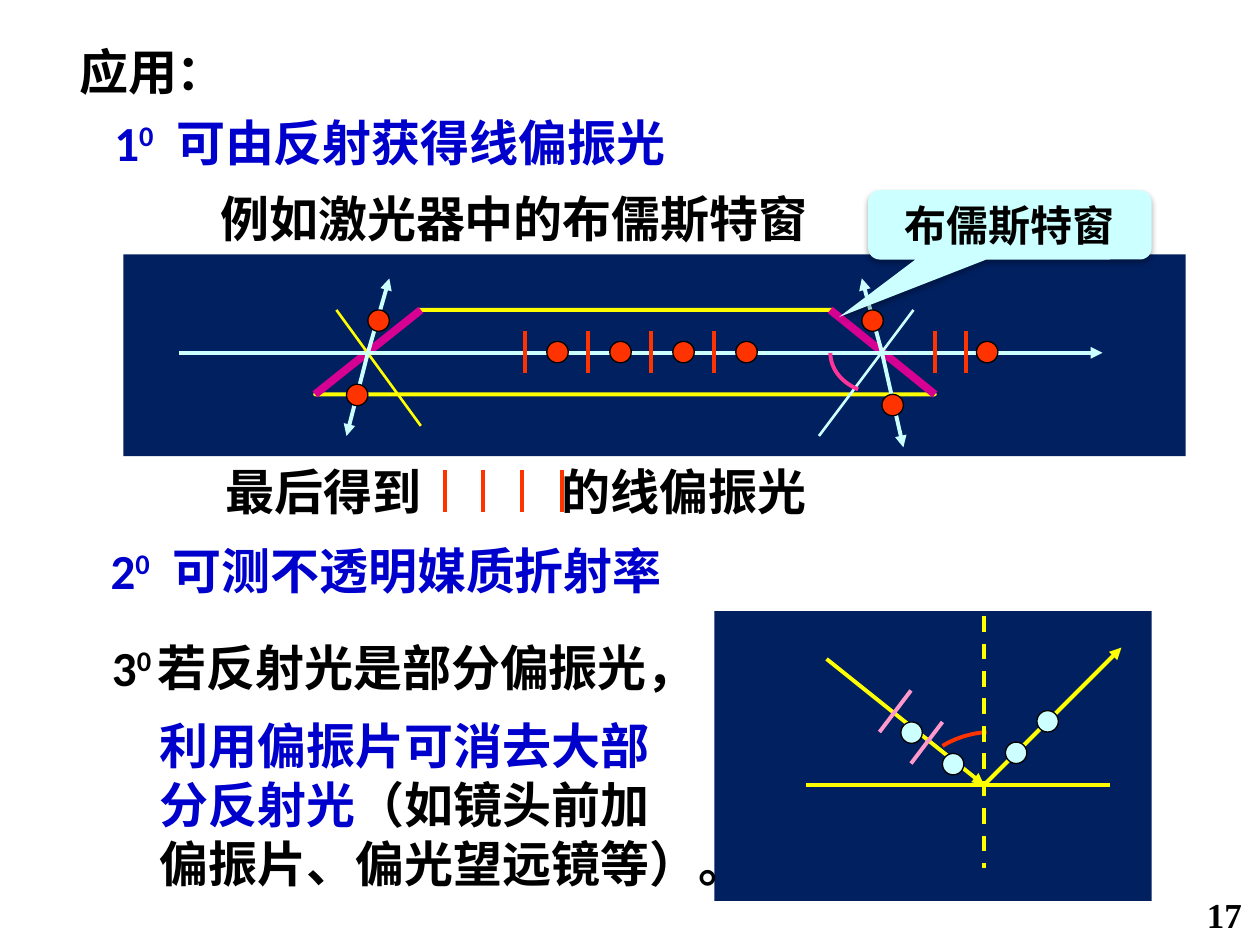
"""Build the slide on applications of Brewster-angle reflection."""
import lxml.etree
import pptx
import pptx.dml.color
import pptx.enum.dml
import pptx.enum.shapes
import pptx.enum.text
import pptx.oxml
import pptx.oxml.ns
import pptx.util

Inches = pptx.util.Inches
SHAPE = pptx.enum.shapes.MSO_SHAPE
BLACK, BLUE, NAVY = "000000", "0000CC", "002060"
YELLOW, PALE, RED, PINK, MAGENTA = "FFFF00", "CCFFFF", "FF3300", "FF99CC", "D60093"
DOT = 0.17
HEADING_TAB, GAP_TAB = 0.49, 2.67


def color(value):
    """Turn a hex string into a colour."""
    return pptx.dml.color.RGBColor.from_string(value)


def add_xml(parent, tag, **attributes):
    """Append a DrawingML element and return it."""
    element = lxml.etree.SubElement(parent, pptx.oxml.ns.qn(tag))
    for name, value in attributes.items():
        element.set(name, str(value))
    return element


def style_line(line, value, width):
    """Set the colour and width of a line."""
    line.color.rgb = color(value)
    line.width = pptx.util.Pt(width)


def add_preset(shapes, kind, box, fill, outline=None):
    """Add a filled preset shape without shadow."""
    shape = shapes.add_shape(kind, *map(Inches, box))
    shape.shadow.inherit = False
    shape.fill.solid()
    shape.fill.fore_color.rgb = color(fill)
    if outline:
        style_line(shape.line, outline, 0.75)
    else:
        shape.line.fill.background()
    return shape


def add_dots(shapes, positions, fill):
    """Add round dots at the given left and top positions."""
    for left, top in positions:
        add_preset(shapes, SHAPE.OVAL, (left, top, DOT, DOT), fill, BLACK)


def add_line(shapes, start, end, value, width=2.25, arrow=False, dashed=False):
    """Add a straight line, with an arrowhead or dashes if asked."""
    connector = shapes.add_connector(
        pptx.enum.shapes.MSO_CONNECTOR.STRAIGHT, *map(Inches, (*start, *end)))
    style_line(connector.line, value, width)
    if dashed:
        connector.line.dash_style = pptx.enum.dml.MSO_LINE.DASH
    if arrow:
        add_xml(connector.line._get_or_add_ln(), "a:tailEnd", type="triangle")
    add_xml(connector._element.spPr, "a:effectLst")


def add_ticks(shapes, positions, top):
    """Add short red vertical lines."""
    for x in positions:
        add_line(shapes, (x, top), (x, top + 0.33), RED)


def add_outline(shapes, points, value, close):
    """Add an unfilled freeform through the points."""
    corners = [(Inches(x), Inches(y)) for x, y in points]
    builder = shapes.build_freeform(*corners[0])
    builder.add_line_segments(corners[1:], close=close)
    shape = builder.convert_to_shape()
    shape.shadow.inherit = False
    shape.fill.background()
    style_line(shape.line, value, 2.25)


def add_curve(shapes, controls, value, steps=16):
    """Add a cubic curve given by its four control points."""
    points = []
    for step in range(steps + 1):
        t = step / steps
        weights = ((1 - t) ** 3, 3 * t * (1 - t) ** 2, 3 * t * t * (1 - t), t ** 3)
        points.append([sum(w * p[axis] for w, p in zip(weights, controls))
                       for axis in (0, 1)])
    add_outline(shapes, points, value, close=False)


def add_run(paragraph, text, value, size=28, name="Calibri", raised=False):
    """Add a bold run, as superscript if raised."""
    run = paragraph.add_run()
    run.text = text
    formats = {"size": pptx.util.Pt(size), "name": name, "bold": True}
    for key, setting in formats.items():
        setattr(run.font, key, setting)
    run.font.color.rgb = color(value)
    if raised:
        run._r.get_or_add_rPr().set("baseline", "30000")


def add_text(shapes, box, paragraphs, tab=None, wrap=True):
    """Add a text box from lists of runs, each a tuple of run values."""
    frame = shapes.add_textbox(*map(Inches, box)).text_frame
    frame.word_wrap = wrap
    for index, runs in enumerate(paragraphs):
        paragraph = frame.add_paragraph() if index else frame.paragraphs[0]
        if tab:
            tabs = add_xml(paragraph._p.get_or_add_pPr(), "a:tabLst")
            add_xml(tabs, "a:tab", pos=Inches(tab), algn="l")
        for run in runs:
            add_run(paragraph, *run)


def add_heading(shapes, box, number, gap, text, value):
    """Add a numbered heading with a raised zero."""
    runs = [(number, value), ("0" + gap, value, 28, "Calibri", True), (text, value)]
    add_text(shapes, box, [runs], HEADING_TAB if gap == "\t" else None)


def add_reflection(shapes):
    """Draw light reflected from a surface."""
    foot = (7.81, 6.23)
    add_line(shapes, foot, (8.9, 5.14), YELLOW, arrow=True)
    add_curve(shapes, [(7.83, 5.81), (7.7, 5.82), (7.58, 5.86), (7.48, 5.92)], RED)
    add_line(shapes, (7.81, 4.89), (7.81, 6.89), YELLOW, dashed=True)
    add_line(shapes, (6.56, 5.23), foot, YELLOW, arrow=True)
    for x, y in ((7.23, 5.48), (7.48, 5.73)):
        add_line(shapes, (x, y), (x - 0.25, y + 0.33), PINK)
    add_dots(shapes, [(7.15, 5.73), (7.48, 5.98), (8.23, 5.64), (7.98, 5.89)], PALE)
    add_line(shapes, (6.4, 6.23), (8.81, 6.23), YELLOW)


def add_laser(shapes):
    """Draw the laser tube with its two Brewster windows."""
    add_outline(shapes, [(2.5, 3.13), (3.33, 2.46), (6.6, 2.46), (7.42, 3.13)],
                YELLOW, close=True)
    add_line(shapes, (6.59, 2.46), (7.42, 3.13), MAGENTA, 4.5)
    add_line(shapes, (3.34, 2.46), (2.5, 3.13), MAGENTA, 4.5)
    add_line(shapes, (1.42, 2.8), (8.75, 2.8), PALE, arrow=True)
    add_ticks(shapes, [4.17, 4.67, 5.17, 5.67, 7.42, 7.67], 2.63)
    add_dots(shapes, [(x, 2.71) for x in (4.34, 4.84, 5.34, 5.84, 7.75)], RED)
    add_line(shapes, (7.25, 2.46), (6.5, 3.46), PALE, 1.5)
    add_line(shapes, (2.67, 2.46), (3.34, 3.38), YELLOW, 1.5)
    for x, ends in ((7, ((7.17, 3.55), (6.84, 2.21))),
                    (2.92, ((2.75, 3.46), (3.09, 2.21)))):
        for end in ends:
            add_line(shapes, (x, 2.8), end, PALE, arrow=True)
    add_dots(shapes, [(7, 3.13), (6.84, 2.46), (2.75, 3.05), (2.92, 2.46)], RED)
    add_curve(shapes, [(6.81, 3.09), (6.67, 3.03), (6.59, 2.92), (6.59, 2.8)], "FF3399")


def add_callout(shapes):
    """Add the shadowed callout that names the window."""
    shape = add_preset(shapes, SHAPE.ROUNDED_RECTANGULAR_CALLOUT,
                       (6.89, 1.51, 2.25, 0.55), PALE)
    for index, value in enumerate((-0.603, 1.33, 0.167)):
        shape.adjustments[index] = value
    effects = shape._element.spPr.find(pptx.oxml.ns.qn("a:effectLst"))
    shadow = add_xml(effects, "a:outerShdw", blurRad=pptx.util.Pt(3.5),
                     dist=pptx.util.Pt(2.2), dir=5400000, rotWithShape=0)
    add_xml(add_xml(shadow, "a:srgbClr", val=BLACK), "a:alpha", val=32000)
    frame = shape.text_frame
    frame.vertical_anchor = pptx.enum.text.MSO_ANCHOR.MIDDLE
    frame.paragraphs[0].alignment = pptx.enum.text.PP_ALIGN.CENTER
    add_run(frame.paragraphs[0], "布儒斯特窗", BLACK, 24)


def main():
    """Build and save the slide."""
    presentation = pptx.Presentation()
    presentation.slide_width, presentation.slide_height = Inches(10), Inches(7.5)
    shapes = presentation.slides.add_slide(presentation.slide_layouts[6]).shapes
    for panel in ((5.67, 4.85, 3.47, 2.3), (0.98, 2.02, 8.43, 1.6)):
        add_preset(shapes, SHAPE.RECTANGLE, panel, NAVY)
    add_text(shapes, (0.53, 0.28, 2.85, 0.57), [[("应用：", BLACK)]])
    add_text(shapes, (1.65, 1.45, 7.05, 0.57), [[("例如激光器中的布儒斯特窗", BLACK)]])
    add_heading(shapes, (0.78, 4.24, 6.58, 0.57), "2", "\t", "可测不透明媒质折射率", BLUE)
    add_reflection(shapes.add_group_shape().shapes)
    add_heading(shapes, (0.79, 5.01, 6.25, 0.57), "3", " ", "若反射光是部分偏振光，", BLACK)
    add_text(shapes, (1.17, 5.63, 4.94, 1.51), [
        [("利用偏振片可消去大部", BLUE)],
        [("分反射光", BLUE), ("（如镜头前加", BLACK)],
        [("偏振片、偏光望远镜等）。", BLACK)]], wrap=False)
    add_laser(shapes.add_group_shape().shapes)
    result = shapes.add_group_shape().shapes
    add_ticks(result, [3.53, 3.83, 4.14, 4.46], 3.73)
    add_text(result, (1.69, 3.61, 6.15, 0.57), [
        [("最后得到\t的", BLACK), ("线偏振光", BLACK, 28, "Arial")]], GAP_TAB)
    add_callout(shapes)
    add_heading(shapes, (0.81, 0.84, 6.67, 0.57), "1", "\t", "可由反射获得线偏振光", BLUE)
    add_text(shapes, (9.48, 7.04, 0.6, 0.44), [[("17", BLACK, 20, "Times New Roman")]])
    presentation.save("out.pptx")


if __name__ == "__main__":
    main()
